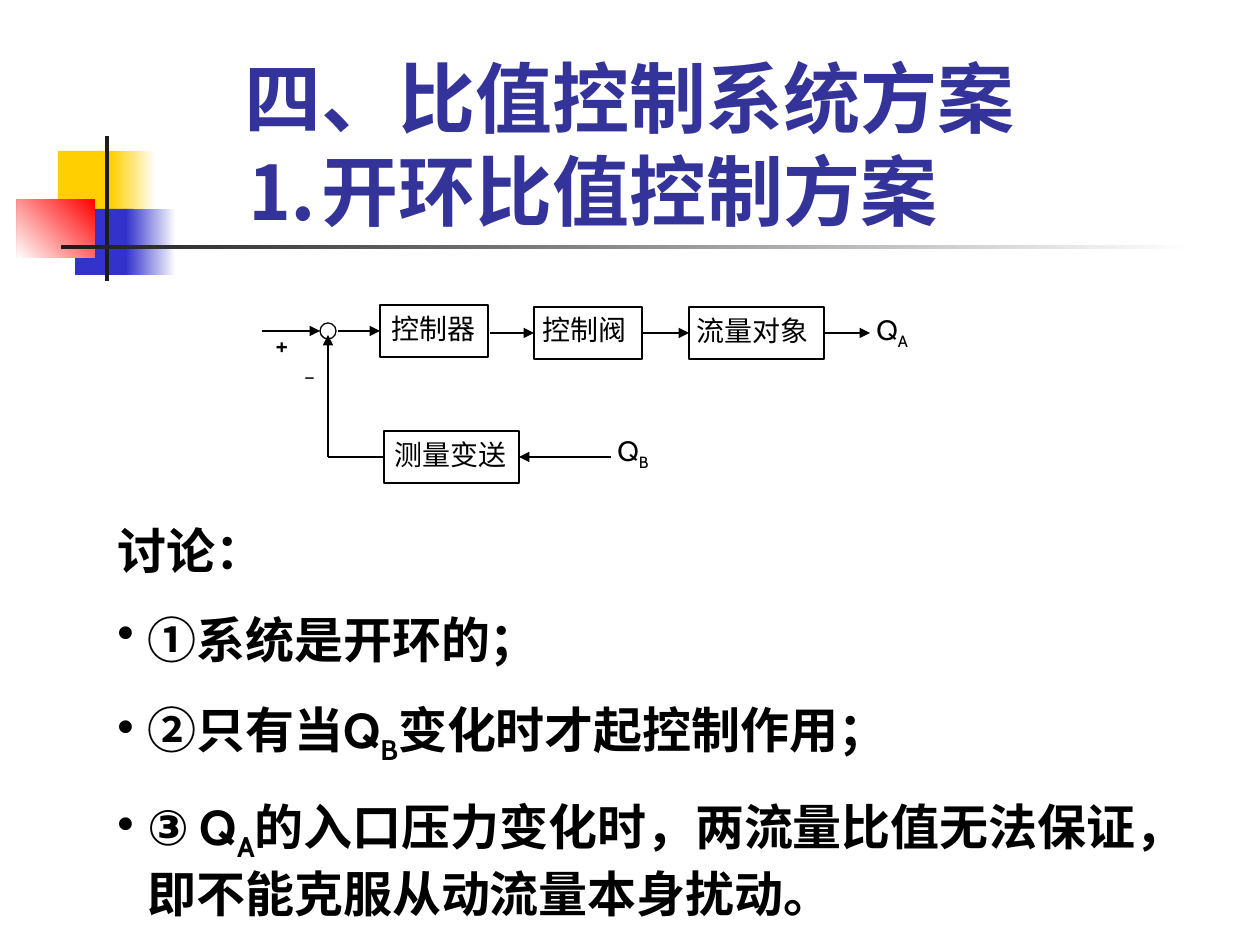
from lxml.etree import SubElement
from pptx import Presentation
from pptx.dml.color import RGBColor
from pptx.enum.shapes import MSO_CONNECTOR as Connector, MSO_SHAPE as Shape
from pptx.enum.text import MSO_ANCHOR as Anchor
from pptx.oxml.ns import qn
from pptx.util import Emu, Pt

SCALE = 914400 / 126  # EMU in one px
LEFT, RIGHT = 1, 3    # connection sites of a rectangle


def px(length):
    return Emu(round(length * SCALE))


def color(value):
    return RGBColor.from_string(value)


class SlideBuilder:
    font = "Cabin"
    ink = "000000"

    def __init__(self, slide):
        self.slide = slide

    def shape(self, kind, left, top, width, height):
        shape = self.slide.shapes.add_shape(kind, px(left), px(top), px(width), px(height))
        shape.shadow.inherit = False
        return shape

    def block(self, left, top, width, height, fill):
        shape = self.shape(Shape.RECTANGLE, left, top, width, height)
        shape.fill.solid()
        shape.fill.fore_color.rgb = color(fill)
        shape.line.fill.background()

    def fade(self, left, top, width, height, start, end, angle=180):
        shape = self.shape(Shape.RECTANGLE, left, top, width, height)
        shape.fill.gradient()
        shape.fill.gradient_angle = angle
        for stop, value in zip(shape.fill.gradient_stops, (start, end)):
            stop.color.rgb = color(value)
        shape.line.fill.background()

    def outline(self, kind, left, top, width, height):
        shape = self.shape(kind, left, top, width, height)
        shape.fill.background()
        shape.line.color.rgb = color(self.ink)
        shape.line.width = Pt(0.75)
        return shape

    def line(self, start, end, source=None, target=None, arrow=True):
        """Draw a line; source and target are (shape, site) pairs to join."""
        line = self.slide.shapes.add_connector(
            Connector.STRAIGHT, *map(px, start), *map(px, end))
        if source:
            line.begin_connect(*source)
        if target:
            line.end_connect(*target)
        line.line.color.rgb = color(self.ink)
        line.line.width = Pt(0.75)
        properties = line._element.spPr
        if arrow:
            SubElement(properties.find(qn("a:ln")), qn("a:tailEnd"), type="triangle")
        SubElement(properties, qn("a:effectLst"))

    def text(self, left, top, width, height, paragraphs, size=16, bold=False,
             ink=None, anchor=Anchor.TOP, space=0, bullets=False):
        """Write paragraphs; parts between bars become subscripts."""
        box = self.slide.shapes.add_textbox(px(left), px(top), px(width), px(height))
        frame = box.text_frame
        frame.word_wrap = True
        frame.vertical_anchor = anchor
        for index, content in enumerate(paragraphs):
            paragraph = frame.add_paragraph() if index else frame.paragraphs[0]
            if index:
                paragraph.space_before = Pt(space)
                if bullets:
                    self.bullet(paragraph)
            paragraph.font.name = self.font
            paragraph.font.size = Pt(size)
            paragraph.font.bold = bold
            paragraph.font.color.rgb = color(ink or self.ink)
            for number, part in enumerate(content.split("|")):
                if number % 2:
                    run = paragraph.add_run()
                    run.text = part
                    run._r.get_or_add_rPr().set("baseline", "-25000")
                    continue
                for row, words in enumerate(part.split("\n")):
                    if row:
                        paragraph.add_line_break()
                    if words:
                        paragraph.add_run().text = words

    def bullet(self, paragraph):
        properties = paragraph._p.get_or_add_pPr()
        properties.set("marL", str(px(30)))
        properties.set("indent", str(-px(30)))
        bullet_color = SubElement(properties, qn("a:buClr"))
        SubElement(bullet_color, qn("a:srgbClr"), val=self.ink)
        SubElement(properties, qn("a:buChar"), char="•")


def main():
    presentation = Presentation()
    presentation.slide_width, presentation.slide_height = px(1260), px(945)
    builder = SlideBuilder(presentation.slides.add_slide(presentation.slide_layouts[6]))

    # Corner ornament and rule
    builder.block(58, 151, 60, 66, "FFCF01")
    builder.fade(111, 151, 45, 66, "FFFFFF", "FFCF01")
    builder.block(75, 209, 58, 66, "3333CC")
    builder.fade(126, 209, 50, 66, "FFFFFF", "3333CC")
    builder.fade(17, 199, 78, 59, "FF0000", "FFFFFF", angle=225)
    builder.block(105, 136, 4, 145, "1C1C1C")
    builder.fade(61, 245, 1134, 4, "FFFFFF", "1C1C1C")

    # Title
    builder.text(232, 53, 934, 189, ["四、比值控制系统方案\n⒈开环比值控制方案"],
                 size=44, bold=True, ink="333399", anchor=Anchor.BOTTOM)

    # Discussion
    builder.text(105, 514, 1113, 415, [
        "讨论：",
        "①系统是开环的；",
        "②只有当Q|B|变化时才起控制作用；",
        "③ Q|A|的入口压力变化时，两流量比值无法保证，  即不能克服从动流量本身扰动。",
    ], size=28, bold=True, space=17.5, bullets=True)

    # Block diagram: summing point and labelled blocks
    builder.outline(Shape.OVAL, 320, 323, 16, 16)
    blocks = []
    for name, left, top, width, text_left, text_top, text_width in (
            ("控制器", 380, 305, 108, 379, 305, 149),
            ("控制阀", 534, 307, 108, 530, 306, 149),
            ("流量对象", 689, 307, 135, 684, 307, 160),
            ("测量变送", 384, 431, 135, 382, 431, 171)):
        builder.text(text_left, text_top, text_width, 47, [name])
        blocks.append(builder.outline(Shape.RECTANGLE, left, top, width, 52))
    controller, valve, process, transmitter = blocks

    # Signal path
    builder.line((262, 331), (320, 331))
    builder.line((338, 331), (380, 331), target=(controller, LEFT))
    builder.line((490, 333), (534, 333), target=(valve, LEFT))
    builder.line((642, 333), (689, 333), (valve, RIGHT), (process, LEFT))
    builder.line((824, 333), (870, 333), source=(process, RIGHT))

    # Measurement path
    builder.line((328, 457), (328, 335))
    builder.line((328, 457), (384, 457), target=(transmitter, LEFT), arrow=False)
    builder.line((611, 457), (519, 457), target=(transmitter, RIGHT))

    # Signs and flow names
    builder.text(263, 321, 57, 47, ["+"])
    builder.text(292, 360, 57, 34, ["—"], size=10)
    builder.text(605, 427, 81, 52, ["Q|B|"])
    builder.text(864, 306, 81, 52, ["Q|A|"])

    presentation.save("out.pptx")


if __name__ == "__main__":
    main()
